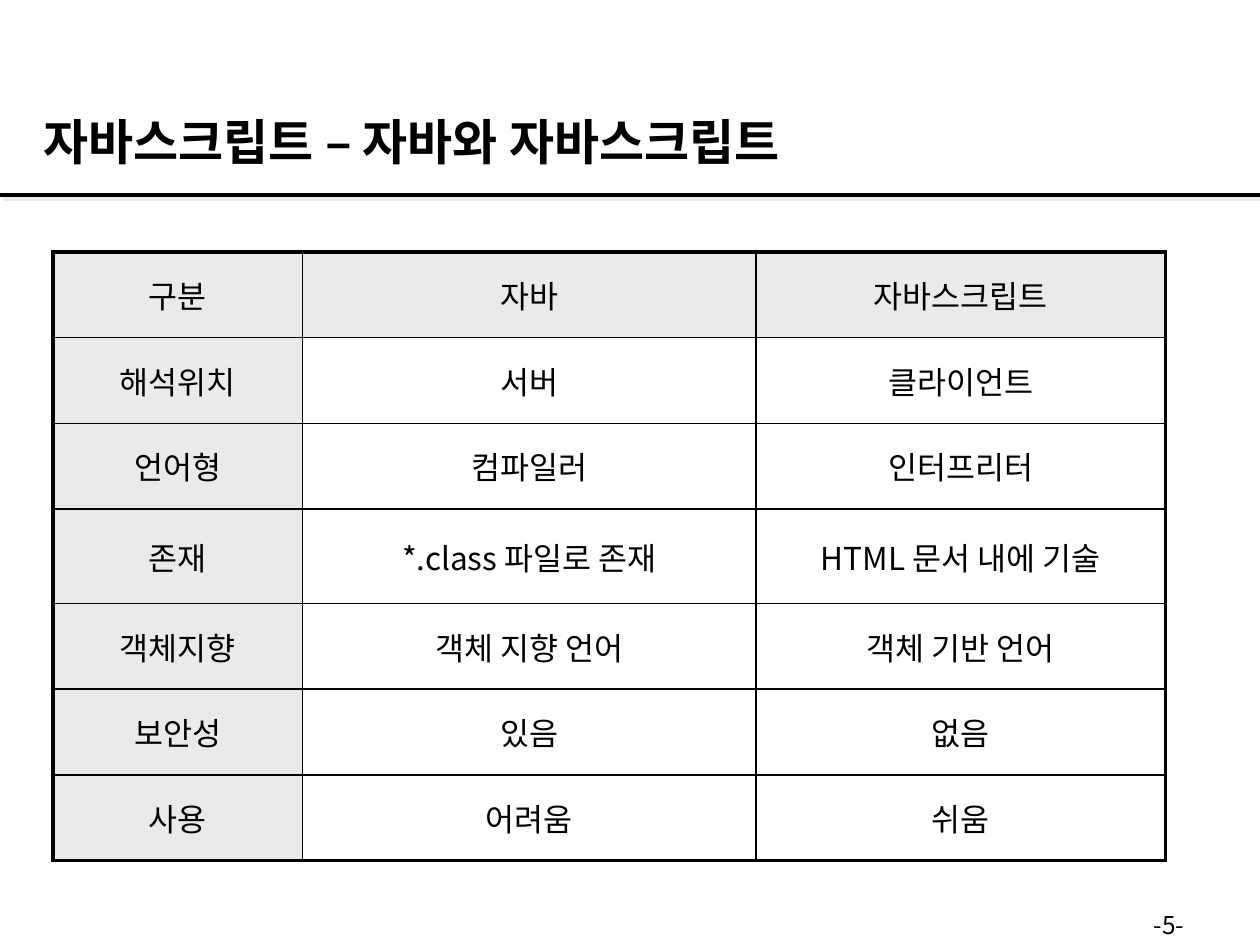
import pptx
import pptx.dml.color
import pptx.enum.shapes
import pptx.enum.text
import pptx.oxml
import pptx.oxml.ns
import pptx.util

COLORS = {"ink": "000000", "header": "EAEAEA", "shadow": "EAEAEA"}
KOREAN_FONT = "Noto Sans CJK KR"
OUTER_WIDTH, INNER_WIDTH = 2.25, 1
NAMESPACE = pptx.oxml.ns.nsdecls("a")

presentation = pptx.Presentation()
presentation.slide_width = pptx.util.Inches(10)
presentation.slide_height = pptx.util.Inches(7.5)
inch = presentation.slide_width / 10
slide = presentation.slides.add_slide(presentation.slide_layouts[6])
ink = pptx.dml.color.RGBColor.from_string(COLORS["ink"])


def format_run(run, size, latin_font, bold=False):
    run.font.size = pptx.util.Pt(size)
    run.font.name = latin_font
    run.font.bold = bold
    run.font.color.rgb = ink
    east_asian = pptx.oxml.parse_xml(f'<a:ea {NAMESPACE} typeface="{KOREAN_FONT}"/>')
    run.font._element.find(pptx.oxml.ns.qn("a:latin")).addnext(east_asian)


def add_text_box(left, top, width, height):
    text_box = slide.shapes.add_textbox(*(round(value * inch) for value in (left, top, width, height)))
    text_box.text_frame.word_wrap = True
    return text_box.text_frame


rule_top = round(1.55 * inch)
rule = slide.shapes.add_connector(
    pptx.enum.shapes.MSO_CONNECTOR.STRAIGHT, 0, rule_top, presentation.slide_width, rule_top
)
rule.line.color.rgb = ink
rule.line.width = pptx.util.Pt(OUTER_WIDTH)
rule._element.spPr.append(pptx.oxml.parse_xml(
    f'<a:effectLst {NAMESPACE}><a:outerShdw dist="{pptx.util.Pt(2.8)}" dir="2700000" algn="ctr" '
    f'rotWithShape="0"><a:srgbClr val="{COLORS["shadow"]}"/></a:outerShdw></a:effectLst>'
))

comparison = [
    ("구분", "자바", "자바스크립트"),
    ("해석위치", "서버", "클라이언트"),
    ("언어형", "컴파일러", "인터프리터"),
    ("존재", "*.class 파일로 존재", "HTML 문서 내에 기술"),
    ("객체지향", "객체 지향 언어", "객체 기반 언어"),
    ("보안성", "있음", "없음"),
    ("사용", "어려움", "쉬움"),
]
column_widths = [1.98, 3.6, 3.25]
row_heights = [0.75 if row[0] == "존재" else 0.68 for row in comparison]
last_row, last_column = len(row_heights) - 1, len(column_widths) - 1

frame = slide.shapes.add_table(
    len(row_heights), len(column_widths), round(0.42 * inch), round(2 * inch),
    round(sum(column_widths) * inch), round(sum(row_heights) * inch),
)
table = frame.table
for column, width in zip(table.columns, column_widths):
    column.width = round(width * inch)
for row, height in zip(table.rows, row_heights):
    row.height = round(height * inch)

for row_index, labels in enumerate(comparison):
    for column_index, label in enumerate(labels):
        cell = table.cell(row_index, column_index)
        cell.vertical_anchor = pptx.enum.text.MSO_ANCHOR.MIDDLE
        cell.text_frame.text = label
        paragraph = cell.text_frame.paragraphs[0]
        paragraph.alignment = pptx.enum.text.PP_ALIGN.CENTER
        format_run(paragraph.runs[0], 18, KOREAN_FONT)

        outer_edges = {
            "lnL": column_index == 0,
            "lnR": column_index == last_column,
            "lnT": row_index == 0,
            "lnB": row_index == last_row,
        }
        properties = cell._tc.get_or_add_tcPr()
        for edge, is_outer in outer_edges.items():
            width = pptx.util.Pt(OUTER_WIDTH if is_outer else INNER_WIDTH)
            properties.append(pptx.oxml.parse_xml(
                f'<a:{edge} {NAMESPACE} w="{width}"><a:solidFill>'
                f'<a:srgbClr val="{COLORS["ink"]}"/></a:solidFill></a:{edge}>'
            ))
        if row_index == 0 or column_index == 0:
            cell.fill.solid()
            cell.fill.fore_color.rgb = pptx.dml.color.RGBColor.from_string(COLORS["header"])
        else:
            cell.fill.background()

title = add_text_box(0.25, 0.83, 9.18, 0.57)
title.vertical_anchor = pptx.enum.text.MSO_ANCHOR.MIDDLE
title_parts = [("자바스크립트 ", "Lato"), ("–", "Times New Roman"), (" 자바와 자바스크립트", "Lato")]
for words, font_name in title_parts:
    run = title.paragraphs[0].add_run()
    run.text = words
    format_run(run, 28, font_name, bold=True)

page_number = add_text_box(7.17, 7.17, 2.33, 0.55)
page_number.text = "-5-"
page_number.paragraphs[0].alignment = pptx.enum.text.PP_ALIGN.RIGHT
format_run(page_number.paragraphs[0].runs[0], 14, KOREAN_FONT)

presentation.save("out.pptx")
